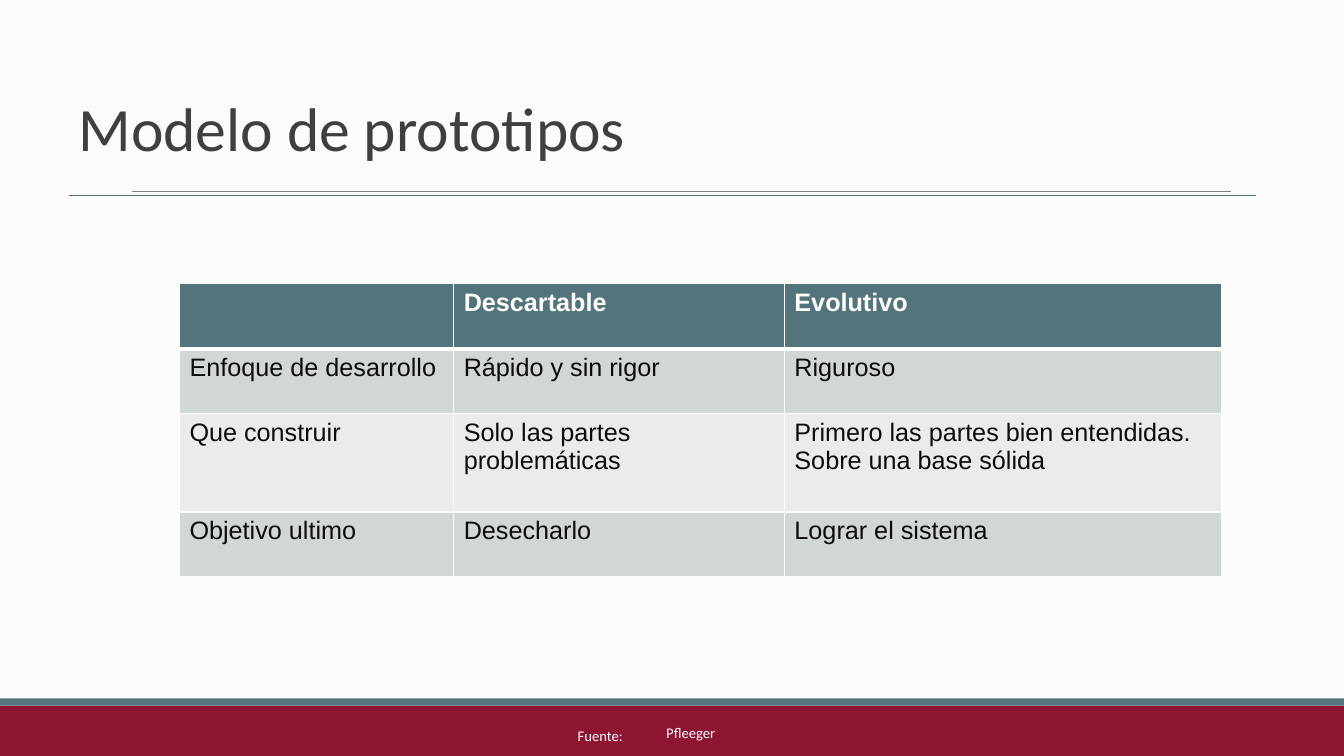
"""Build the slide comparing throwaway and evolutionary prototypes."""
import pptx
import pptx.dml.color
import pptx.enum.shapes
import pptx.enum.text
import pptx.oxml
import pptx.oxml.ns
import pptx.util
from pptx.util import Inches

TEAL, WINE, WHITE = "54747B", "8D1532", "FFFFFF"
BANDS = ["D1D6D7", "E9EBEC"]
COLUMNS = [2.72, 3.28, 4.34]
ROWS = [
    (0.65, ["", "Descartable", "Evolutivo"]),
    (0.64, ["Enfoque de desarrollo", "Rápido y sin rigor", "Riguroso"]),
    (0.98, ["Que construir", "Solo las partes problemáticas",
            "Primero las partes bien entendidas. Sobre una base sólida"]),
    (0.64, ["Objetivo ultimo", "Desecharlo", "Lograr el sistema"]),
]


def rgb(value):
    """Return the colour for a hex string."""
    return pptx.dml.color.RGBColor.from_string(value)


def style(p, size, color, font="Calibri", bold=False):
    """Set the font of a paragraph."""
    p.font.name = font
    p.font.size = pptx.util.Pt(size)
    p.font.bold = bold
    p.font.color.rgb = rgb(color)


def add_band(s, top, height, color):
    """Add a full-width band without outline."""
    sp = s.shapes.add_shape(pptx.enum.shapes.MSO_SHAPE.RECTANGLE, 0,
                            Inches(top), Inches(13.33), Inches(height))
    sp.shadow.inherit = False
    sp.fill.solid()
    sp.fill.fore_color.rgb = rgb(color)
    sp.line.fill.background()


def add_rule(s, left, right, y, color, width):
    """Add a horizontal line."""
    sp = s.shapes.add_connector(pptx.enum.shapes.MSO_CONNECTOR.STRAIGHT,
                                Inches(left), Inches(y), Inches(right), Inches(y))
    sp.line.color.rgb = rgb(color)
    sp.line.width = pptx.util.Pt(width)
    effects = pptx.oxml.ns.qn("a:effectLst")
    sp._element.spPr.append(sp._element.makeelement(effects, {}))


def add_text(s, box, text, size, color, spacing=1.0, indent=0.0):
    """Add a wrapped, vertically centred line of text."""
    tf = s.shapes.add_textbox(*map(Inches, box)).text_frame
    tf.word_wrap = True
    tf.vertical_anchor = pptx.enum.text.MSO_ANCHOR.MIDDLE
    tf.margin_left = Inches(0.1 + indent)
    p = tf.paragraphs[0]
    p.text = text
    p.line_spacing = spacing
    style(p, size, color)


def set_borders(cell, top, bottom):
    """Give a cell white borders, with top and bottom widths in points."""
    tcPr = cell._tc.get_or_add_tcPr()
    for i, (side, width) in enumerate([("L", 1), ("R", 1), ("T", top), ("B", bottom)]):
        tcPr.insert(i, pptx.oxml.parse_xml(
            f'<a:ln{side} {pptx.oxml.ns.nsdecls("a")} w="{pptx.util.Pt(width)}">'
            f'<a:solidFill><a:srgbClr val="{WHITE}"/></a:solidFill></a:ln{side}>'))


def add_comparison(s):
    """Add the table with a header row and banded body rows."""
    height = sum(row[0] for row in ROWS)
    table = s.shapes.add_table(len(ROWS), len(COLUMNS), Inches(1.78), Inches(2.81),
                               Inches(sum(COLUMNS)), Inches(height)).table
    for column, width in zip(table.columns, COLUMNS):
        column.width = Inches(width)
    for i, (height, texts) in enumerate(ROWS):
        table.rows[i].height = Inches(height)
        header = i == 0
        for j, text in enumerate(texts):
            cell = table.cell(i, j)
            cell.fill.solid()
            cell.fill.fore_color.rgb = rgb(TEAL if header else BANDS[(i - 1) % 2])
            set_borders(cell, 3 if i == 1 else 1, 3 if header else 1)
            p = cell.text_frame.paragraphs[0]
            p.text = text
            style(p, 18, WHITE if header else "0C0C0C", "Arial", header)


def main():
    """Build and save the slide."""
    prs = pptx.Presentation()
    prs.slide_width, prs.slide_height = Inches(13.33), Inches(7.5)
    s = prs.slides.add_slide(prs.slide_layouts[6])
    s.background.fill.solid()
    s.background.fill.fore_color.rgb = rgb("FBFBFB")
    add_band(s, 7, 0.5, WINE)
    add_band(s, 6.93, 0.07, TEAL)
    add_rule(s, 1.31, 12.21, 1.9, "7F7F7F", 0.75)
    add_rule(s, 0.68, 12.46, 1.94, TEAL, 1)
    add_text(s, (5.52, 7.09, 0.86, 0.41), "Fuente:", 10.5, WHITE, indent=0.11)
    add_text(s, (0.68, 0.7, 11.78, 1.24), "Modelo de prototipos", 44, "3F3F3F", 0.85)
    add_text(s, (6.51, 7.12, 2.36, 0.33), "Pfleeger", 10.5, WHITE, 0.85)
    add_comparison(s)
    prs.save("out.pptx")


if __name__ == "__main__":
    main()
